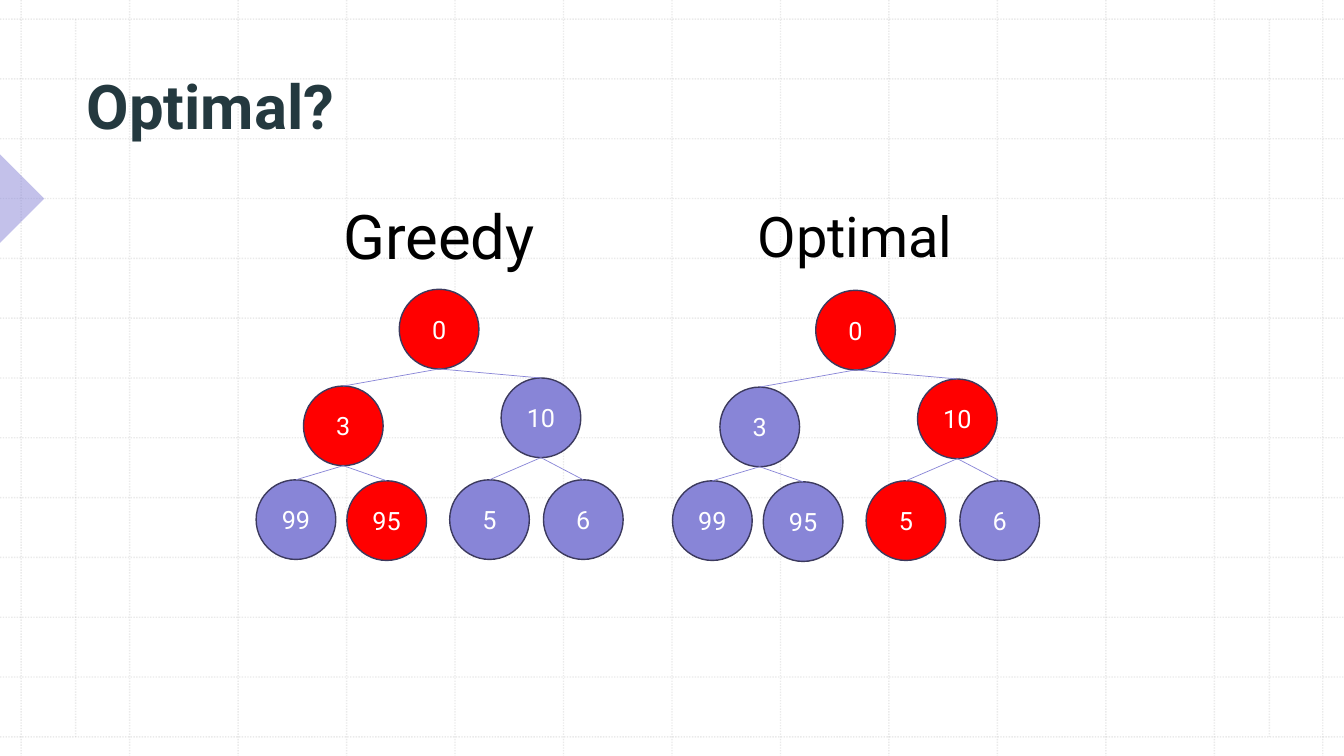
from lxml import etree
from pptx import Presentation
from pptx import util as u
from pptx.dml.color import RGBColor
from pptx.enum import dml, shapes, text
from pptx.oxml.ns import qn

WIDTH, HEIGHT = 13.33, 7.5
FONT = "Roboto"
GRID_GREY = RGBColor(0xBC, 0xBC, 0xBC)
LILAC = RGBColor(0x88, 0x85, 0xD7)
NAVY = RGBColor(0x3C, 0x3A, 0x5E)
RED = RGBColor(0xFF, 0x00, 0x00)
WHITE = RGBColor(0xFF, 0xFF, 0xFF)
BLACK = RGBColor(0x00, 0x00, 0x00)
TITLE_COLOR = RGBColor(0x24, 0x39, 0x3F)

# Background grid: first and last line, and number of cells, each way
GRID_LEFT, GRID_RIGHT = 0.21, 13.12
GRID_TOP, GRID_BOTTOM = 0.19, 7.31
CELLS = 12
MARGIN_LINES = (0.75, 12.59)

TITLE = ("Optimal?", (0.76, 0.51, 11.29, 0.95), 44)
# heading, heading box, heading size, root position, values on the chosen route
TREES = [
    ("Greedy", (3.26, 1.91, 2.19, 0.84), 44, (3.96, 2.87), {0, 3, 95}),
    ("Optimal", (7.24, 1.95, 2.48, 0.77), 40, (8.09, 2.88), {0, 10, 5}),
]
# value: (parent value, offset from the root)
NODES = {
    0: (None, 0, 0),
    3: (0, -0.95, 0.96),
    10: (0, 1.01, 0.88),
    99: (3, -1.42, 1.89),
    95: (3, -0.52, 1.9),
    5: (10, 0.5, 1.89),
    6: (10, 1.43, 1.89),
}
NODE_SIZE = 0.79
POINTER_SIZE = 0.62


def inches(*lengths):
    return [u.Inches(length) for length in lengths]


def set_alpha(fill_parent, percent):
    color = next(fill_parent.iter(qn("a:srgbClr")))
    etree.SubElement(color, qn("a:alpha")).set("val", str(percent * 1000))


def add_line(slide, start, end, color, width):
    line = slide.shapes.add_connector(
        shapes.MSO_CONNECTOR.STRAIGHT, *inches(*start, *end))
    line.line.color.rgb = color
    line.line.width = u.Pt(width)
    etree.SubElement(line._element.spPr, qn("a:effectLst"))
    return line


def add_grid_line(slide, start, end):
    line = add_line(slide, start, end, GRID_GREY, 1)
    line.line.dash_style = dml.MSO_LINE.ROUND_DOT
    set_alpha(line._element.spPr, 30)


def write(shape, words, size, color, align):
    paragraph = shape.text_frame.paragraphs[0]
    paragraph.text = words
    paragraph.alignment = align
    paragraph.font.name = FONT
    paragraph.font.size = u.Pt(size)
    paragraph.font.color.rgb = color
    return paragraph


def add_grid(slide):
    for i in range(CELLS + 1):
        x = GRID_LEFT + i * (GRID_RIGHT - GRID_LEFT) / CELLS
        y = GRID_TOP + i * (GRID_BOTTOM - GRID_TOP) / CELLS
        add_grid_line(slide, (x, 0), (x, HEIGHT))
        add_grid_line(slide, (0, y), (WIDTH, y))
    for x in MARGIN_LINES:
        add_grid_line(slide, (x, GRID_TOP), (x, GRID_BOTTOM))


def add_pointer(slide):
    """Half-transparent triangle pointing in from the left edge."""
    top = GRID_TOP + 3 * (GRID_BOTTOM - GRID_TOP) / CELLS - POINTER_SIZE / 2
    pointer = slide.shapes.add_shape(
        shapes.MSO_SHAPE.RIGHT_TRIANGLE,
        *inches(-POINTER_SIZE / 2, top, POINTER_SIZE, POINTER_SIZE))
    pointer.rotation = 225
    pointer.shadow.inherit = False
    pointer.fill.solid()
    pointer.fill.fore_color.rgb = LILAC
    set_alpha(pointer._element.spPr, 50)
    pointer.line.fill.background()


def add_title(slide):
    words, box, size = TITLE
    title = slide.shapes.add_textbox(*inches(*box))
    title.text_frame.word_wrap = True
    title.text_frame.vertical_anchor = text.MSO_ANCHOR.BOTTOM
    paragraph = write(title, words, size, TITLE_COLOR, text.PP_ALIGN.LEFT)
    paragraph.font.bold = True


def add_node(slide, value, left, top, color):
    node = slide.shapes.add_shape(
        shapes.MSO_SHAPE.OVAL, *inches(left, top, NODE_SIZE, NODE_SIZE))
    node.shadow.inherit = False
    node.fill.solid()
    node.fill.fore_color.rgb = color
    node.line.color.rgb = NAVY
    node.line.width = u.Pt(1)
    node.text_frame.vertical_anchor = text.MSO_ANCHOR.MIDDLE
    write(node, str(value), 18, WHITE, text.PP_ALIGN.CENTER)
    return node


def add_tree(slide, heading, box, size, root, route):
    label = slide.shapes.add_textbox(*inches(*box))
    label.text_frame.word_wrap = False
    write(label, heading, size, BLACK, text.PP_ALIGN.CENTER)

    corners = {value: (root[0] + dx, root[1] + dy)
               for value, (_, dx, dy) in NODES.items()}
    circles = {value: add_node(slide, value, *corner,
                               RED if value in route else LILAC)
               for value, corner in corners.items()}
    for value, (parent, _, _) in NODES.items():
        if parent is None:
            continue
        (parent_x, parent_y), (x, y) = corners[parent], corners[value]
        middle = NODE_SIZE / 2
        branch = add_line(slide, (parent_x + middle, parent_y + NODE_SIZE),
                          (x + middle, y), LILAC, 0.5)
        branch.end_connect(circles[value], 0)


def main():
    presentation = Presentation()
    presentation.slide_width, presentation.slide_height = inches(WIDTH, HEIGHT)
    slide = presentation.slides.add_slide(presentation.slide_layouts[6])
    add_grid(slide)
    add_pointer(slide)
    add_title(slide)
    for tree in TREES:
        add_tree(slide, *tree)
    presentation.save("out.pptx")


if __name__ == "__main__":
    main()
